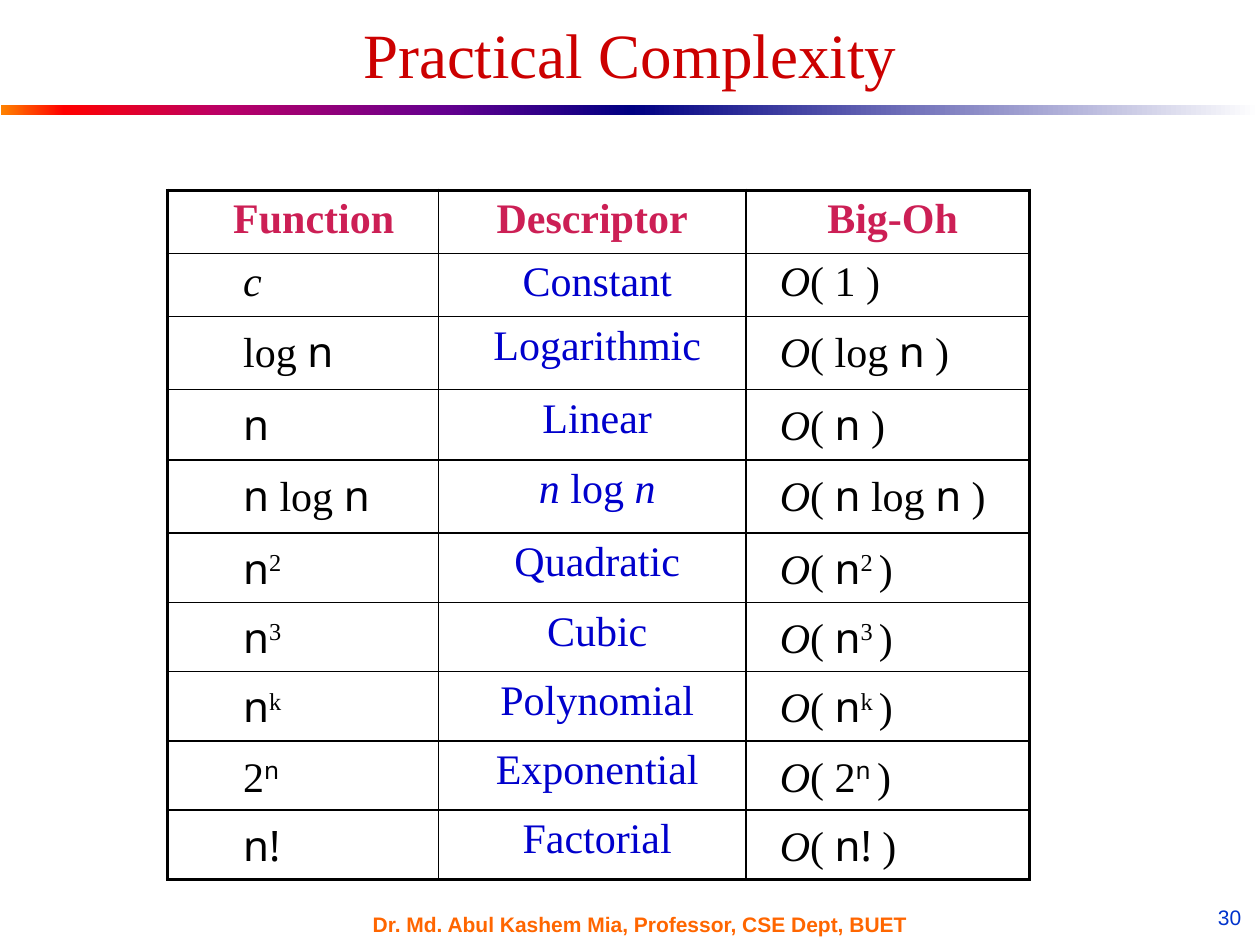
import pptx
import pptx.dml.color
import pptx.enum.shapes
import pptx.enum.text
import pptx.oxml
import pptx.oxml.ns
import pptx.util

Inches = pptx.util.Inches
Pt = pptx.util.Pt
RGBColor = pptx.dml.color.RGBColor
Align = pptx.enum.text.PP_ALIGN
Anchor = pptx.enum.text.MSO_ANCHOR

BLACK = RGBColor(0x00, 0x00, 0x00)
TITLE_RED = RGBColor(0xCC, 0x00, 0x00)
HEADER_PINK = RGBColor(0xCC, 0x1F, 0x55)
DESCRIPTOR_BLUE = RGBColor(0x00, 0x00, 0xCC)
FOOTER_ORANGE = RGBColor(0xFF, 0x66, 0x00)
NUMBER_BLUE = RGBColor(0x00, 0x33, 0xCC)
NAVY = RGBColor(0x00, 0x00, 0x82)
WHITE = RGBColor(0xFF, 0xFF, 0xFF)
RAINBOW = [
    (0, RGBColor(0xFF, 0x82, 0x00)),
    (10, RGBColor(0xFF, 0x00, 0x00)),
    (35, RGBColor(0xBA, 0x00, 0x66)),
    (70, RGBColor(0x66, 0x00, 0x8F)),
    (100, NAVY),
]
FADE = [(0, NAVY), (100, WHITE)]

SERIF = "Times New Roman"
SANS = "Noto Sans"
THICK, THIN = 2.25, 1

COLUMN_WIDTHS = [2.15, 2.44, 2.25]
ROW_HEIGHTS = [0.5, 0.47, 0.58, 0.56, 0.58] + [0.55] * 5
HEADERS = ["Function", "Descriptor", "Big-Oh"]
HEADER_INSETS = [0.27, 0.1, 0.18]
BODY_INSETS = [0.6, 0.18, 0.27]
BODY_ALIGNMENTS = [Align.LEFT, Align.CENTER, Align.LEFT]
BODY_COLORS = [BLACK, DESCRIPTOR_BLUE, BLACK]

N = ("n", "sans")
LOG = ("log ", "plain")
FUNCTIONS = [
    ([("c", "italic")], "Constant"),
    ([LOG, N], "Logarithmic"),
    ([N], "Linear"),
    ([N, (" log ", "plain"), N], "n log n"),
    ([N, ("2", "super")], "Quadratic"),
    ([N, ("3", "super")], "Cubic"),
    ([N, ("k", "super")], "Polynomial"),
    ([("2", "plain"), ("n", "sans super")], "Exponential"),
    ([("n!", "sans")], "Factorial"),
]


def add_bar(slide, left, stops):
    bar = slide.shapes.add_shape(
        pptx.enum.shapes.MSO_SHAPE.RECTANGLE,
        Inches(left), Inches(0.83), Inches(5), Inches(0.08))
    bar.shadow.inherit = False
    bar.line.fill.background()
    bar.fill.gradient()
    bar.fill.gradient_angle = 0
    stop_list = bar._element.spPr.find(".//" + pptx.oxml.ns.qn("a:gsLst"))
    for stop in list(stop_list):
        stop_list.remove(stop)
    for position, color in stops:
        stop_list.append(pptx.oxml.parse_xml(
            f'<a:gs {pptx.oxml.ns.nsdecls("a")} pos="{position * 1000}">'
            f'<a:srgbClr val="{color}"/></a:gs>'))


def add_label(slide, bounds, text, font_name, size, color, alignment,
              anchor=Anchor.MIDDLE, bold=False, wrap=True):
    box = slide.shapes.add_textbox(*(Inches(value) for value in bounds))
    frame = box.text_frame
    frame.text = text
    frame.word_wrap = wrap
    frame.vertical_anchor = anchor
    para = frame.paragraphs[0]
    para.alignment = alignment
    font = para.runs[0].font
    font.name = font_name
    font.size = Pt(size)
    font.bold = bold
    font.color.rgb = color


def set_borders(cell, row, column):
    widths = {
        "lnL": THICK if column == 0 else THIN,
        "lnR": THICK if column == len(COLUMN_WIDTHS) - 1 else THIN,
        "lnT": THICK if row == 0 else THIN,
        "lnB": THICK if row == len(ROW_HEIGHTS) - 1 else THIN,
    }
    properties = cell._tc.get_or_add_tcPr()
    for side, width in widths.items():
        properties.append(pptx.oxml.parse_xml(
            f'<a:{side} {pptx.oxml.ns.nsdecls("a")} w="{Pt(width)}">'
            f'<a:solidFill><a:srgbClr val="{BLACK}"/></a:solidFill></a:{side}>'))


def fill_cell(cell, pieces, inset, alignment, color, bold=False):
    cell.margin_left = Inches(inset)
    cell.fill.background()
    para = cell.text_frame.paragraphs[0]
    para.alignment = alignment
    for text, style in pieces:
        span = para.add_run()
        span.text = text
        font = span.font
        font.name = SANS if "sans" in style else SERIF
        font.size = Pt(24)
        font.bold = bold
        font.italic = style == "italic"
        font.color.rgb = color
        if "super" in style:
            font._element.set("baseline", "30000")


def descriptor_pieces(descriptor):
    if descriptor != "n log n":
        return [(descriptor, "plain")]
    return [("n", "italic"), (" log ", "plain"), ("n", "italic")]


def big_oh_pieces(function, descriptor):
    inner = [("1", "plain")] if descriptor == "Constant" else function
    text, style = inner[-1]
    if "super" in style:
        ending = [(text + " ", style), (")", "plain")]
    else:
        ending = [(text, style), (" )", "plain")]
    return [("O", "italic"), ("( ", "plain")] + inner[:-1] + ending


def add_complexity_table(slide):
    table = slide.shapes.add_table(
        len(ROW_HEIGHTS), len(COLUMN_WIDTHS), Inches(1.33), Inches(1.51),
        Inches(sum(COLUMN_WIDTHS)), Inches(sum(ROW_HEIGHTS))).table
    table.first_row = False
    table.horz_banding = False
    for column, width in zip(table.columns, COLUMN_WIDTHS):
        column.width = Inches(width)
    for row, height in zip(table.rows, ROW_HEIGHTS):
        row.height = Inches(height)

    for column, header in enumerate(HEADERS):
        cell = table.cell(0, column)
        set_borders(cell, 0, column)
        fill_cell(cell, [(header, "plain")], HEADER_INSETS[column],
                  Align.CENTER, HEADER_PINK, bold=True)

    for row, (function, descriptor) in enumerate(FUNCTIONS, start=1):
        contents = [function, descriptor_pieces(descriptor),
                    big_oh_pieces(function, descriptor)]
        for column, pieces in enumerate(contents):
            cell = table.cell(row, column)
            set_borders(cell, row, column)
            fill_cell(cell, pieces, BODY_INSETS[column],
                      BODY_ALIGNMENTS[column], BODY_COLORS[column])


def main():
    deck = pptx.Presentation()
    deck.slide_width = Inches(10)
    deck.slide_height = Inches(7.5)
    page = deck.slides.add_slide(deck.slide_layouts[6])
    add_bar(page, 0.01, RAINBOW)
    add_bar(page, 5, FADE)
    add_label(page, (7.62, 7.13, 2.33, 0.27), "30", "Arial", 12,
              NUMBER_BLUE, Align.RIGHT, anchor=Anchor.TOP)
    add_label(page, (2.58, 7.17, 5, 0.33),
              "Dr. Md. Abul Kashem Mia, Professor, CSE Dept, BUET",
              "Arial", 12, FOOTER_ORANGE, Align.CENTER, bold=True, wrap=False)
    add_label(page, (0.5, 0.17, 9, 0.5), "Practical Complexity", SERIF, 36,
              TITLE_RED, Align.CENTER)
    add_complexity_table(page)
    deck.save("out.pptx")


if __name__ == "__main__":
    main()
